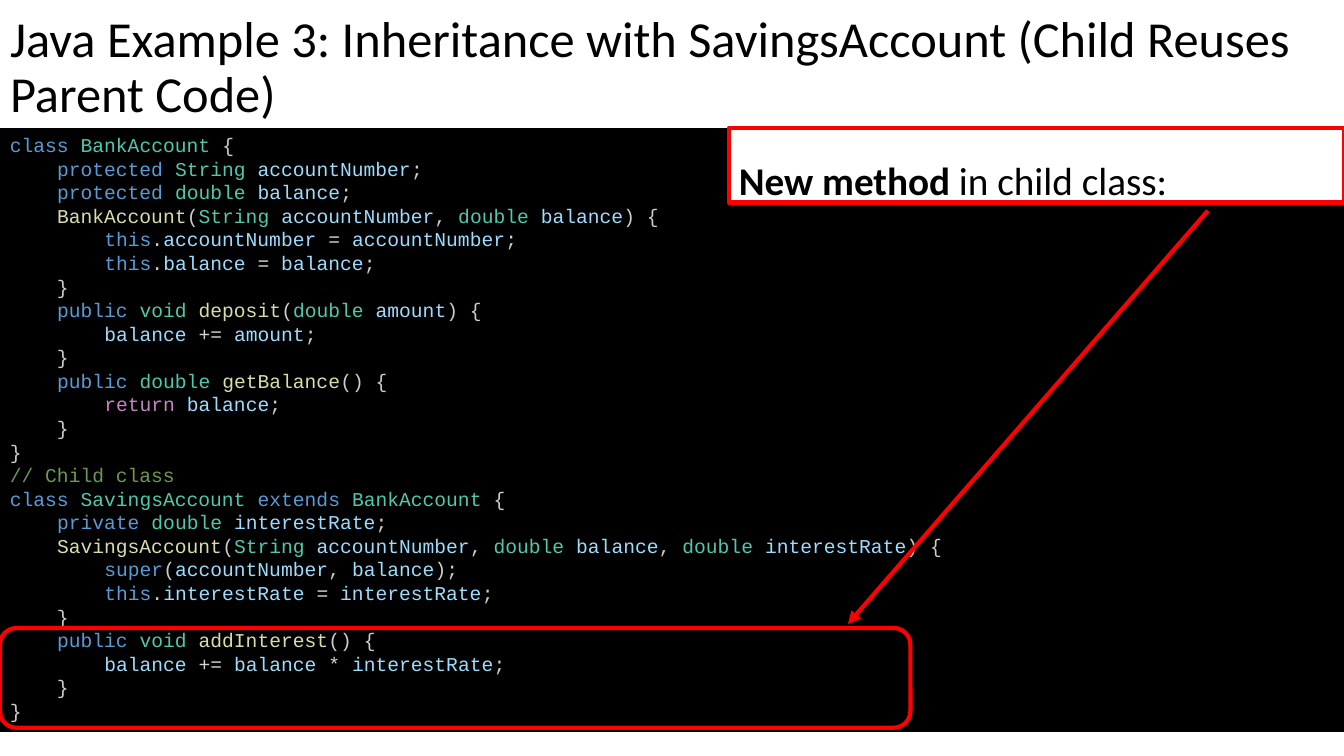
from dataclasses import dataclass
from itertools import groupby

from lxml.etree import SubElement
from pptx import Presentation
from pptx.dml.color import RGBColor
from pptx.enum.shapes import MSO_CONNECTOR, MSO_SHAPE as Shape
from pptx.enum.text import MSO_ANCHOR as Anchor, MSO_AUTO_SIZE as AutoSize, PP_ALIGN as Align
from pptx.oxml.ns import qn
from pptx.util import Inches, Pt

TITLE = "Java Example 3: Inheritance with SavingsAccount (Child Reuses Parent Code)"
CALLOUT = [("New method", True), (" in child class:", False)]
CODE = """\
class BankAccount {
    protected String accountNumber;
    protected double balance;
    BankAccount(String accountNumber, double balance) {
        this.accountNumber = accountNumber;
        this.balance = balance;
    }
    public void deposit(double amount) {
        balance += amount;
    }
    public double getBalance() {
        return balance;
    }
}
// Child class
class SavingsAccount extends BankAccount {
    private double interestRate;
    SavingsAccount(String accountNumber, double balance, double interestRate) {
        super(accountNumber, balance);
        this.interestRate = interestRate;
    }
    public void addInterest() {
        balance += balance * interestRate;
    }
}"""

KEYWORDS = {"class", "extends", "protected", "private", "public", "this", "super"}
PRIMITIVES = {"double", "void"}
OPERATORS = set("+=*")


@dataclass(frozen=True)
class Theme:
    text_font: str = "Calibri"
    code_font: str = "Courier New"
    title_size: int = 36
    callout_size: int = 28
    code_size: int = 14
    line_width: int = 3
    text: str = "000000"
    paper: str = "FFFFFF"
    panel: str = "000000"
    accent: str = "FF0000"
    keyword: str = "569CD6"
    type_name: str = "4EC9B0"
    variable: str = "9CDCFE"
    method: str = "DCDCAA"
    control: str = "C586C0"
    operator: str = "D4D4D4"
    punctuation: str = "CCCCCC"
    comment: str = "6A9955"


THEME = Theme()
SLIDE_W, SLIDE_H = 13.33, 7.5
TITLE_H = 1.27
CALLOUT_LEFT = 7.23


def rgb(value):
    return RGBColor.from_string(value)


def token_kind(char):
    if char.isalnum():
        return "word"
    if char.isspace():
        return "space"
    return "operator" if char in OPERATORS else "punctuation"


def word_color(word, following):
    if word in KEYWORDS:
        return THEME.keyword
    if word == "return":
        return THEME.control
    if following.startswith("("):
        return THEME.method
    if word in PRIMITIVES or word[0].isupper():
        return THEME.type_name
    return THEME.variable


def highlight(line):
    """Split a line of Java into (text, colour) runs; spaces join the run before."""
    if line.startswith("//"):
        return [(line, THEME.comment)]
    colored = []
    tokens = [(kind, "".join(chars)) for kind, chars in groupby(line, token_kind)]
    for index, (kind, token) in enumerate(tokens):
        following = tokens[index + 1][1] if index + 1 < len(tokens) else ""
        if kind == "word":
            color = word_color(token, following)
        elif kind == "operator":
            color = THEME.operator
        elif kind == "space" and colored:
            color = colored[-1][1]
        else:
            color = THEME.punctuation
        colored.append((token, color))
    return [("".join(token for token, _ in run), color)
            for color, run in groupby(colored, lambda item: item[1])]


def style(paragraph, font, size, color):
    paragraph.alignment = Align.LEFT
    paragraph.font.name = font
    paragraph.font.size = Pt(size)
    paragraph.font.color.rgb = rgb(color)


def outline(line):
    line.color.rgb = rgb(THEME.accent)
    line.width = Pt(THEME.line_width)


def add_box(slide, kind, left, top, width, height, fill=None, outlined=False):
    box = slide.shapes.add_shape(kind, *map(Inches, (left, top, width, height)))
    box.shadow.inherit = False
    if fill:
        box.fill.solid()
        box.fill.fore_color.rgb = rgb(fill)
    else:
        box.fill.background()
    if outlined:
        outline(box.line)
    else:
        box.line.fill.background()
    box.text_frame.word_wrap = True
    box.text_frame.vertical_anchor = Anchor.TOP
    return box


def add_title(slide):
    title = slide.shapes.title
    title.left, title.top = Inches(0), Inches(0)
    title.width, title.height = Inches(SLIDE_W), Inches(TITLE_H)
    frame = title.text_frame
    frame.text = TITLE
    frame.word_wrap = True
    frame.auto_size = AutoSize.NONE
    frame.vertical_anchor = Anchor.BOTTOM
    heading = frame.paragraphs[0]
    style(heading, THEME.text_font, THEME.title_size, THEME.text)
    heading.line_spacing = 0.9
    heading.space_after = Pt(8)


def add_code(slide):
    panel = add_box(slide, Shape.RECTANGLE, 0, TITLE_H, SLIDE_W, 5.99, THEME.panel)
    frame = panel.text_frame
    for index, line in enumerate(CODE.splitlines()):
        paragraph = frame.add_paragraph() if index else frame.paragraphs[0]
        style(paragraph, THEME.code_font, THEME.code_size, THEME.punctuation)
        paragraph.line_spacing = Pt(16.85)
        for text, color in highlight(line):
            run = paragraph.add_run()
            run.text = text
            run.font.color.rgb = rgb(color)


def add_callout(slide):
    callout = add_box(slide, Shape.RECTANGLE, CALLOUT_LEFT, TITLE_H,
                      SLIDE_W - CALLOUT_LEFT, 0.74, THEME.paper, outlined=True)
    paragraph = callout.text_frame.paragraphs[0]
    style(paragraph, THEME.text_font, THEME.callout_size, THEME.text)
    paragraph.line_spacing = 1.5
    for text, bold in CALLOUT:
        run = paragraph.add_run()
        run.text = text
        run.font.bold = bold


def add_arrow(slide, start, end):
    arrow = slide.shapes.add_connector(MSO_CONNECTOR.STRAIGHT, *map(Inches, start + end))
    outline(arrow.line)
    properties = arrow.element.spPr
    SubElement(properties.find(qn("a:ln")), qn("a:tailEnd"), type="triangle")
    SubElement(properties, qn("a:effectLst"))


def main():
    deck = Presentation()
    deck.slide_width, deck.slide_height = Inches(SLIDE_W), Inches(SLIDE_H)
    slide = deck.slides.add_slide(deck.slide_layouts[5])
    add_title(slide)
    add_code(slide)
    add_callout(slide)
    add_box(slide, Shape.ROUNDED_RECTANGLE, 0, 6.23, 9.03, 0.99, outlined=True)
    add_arrow(slide, (11.98, 2.09), (8.41, 6.19))
    deck.save("out.pptx")


if __name__ == "__main__":
    main()
